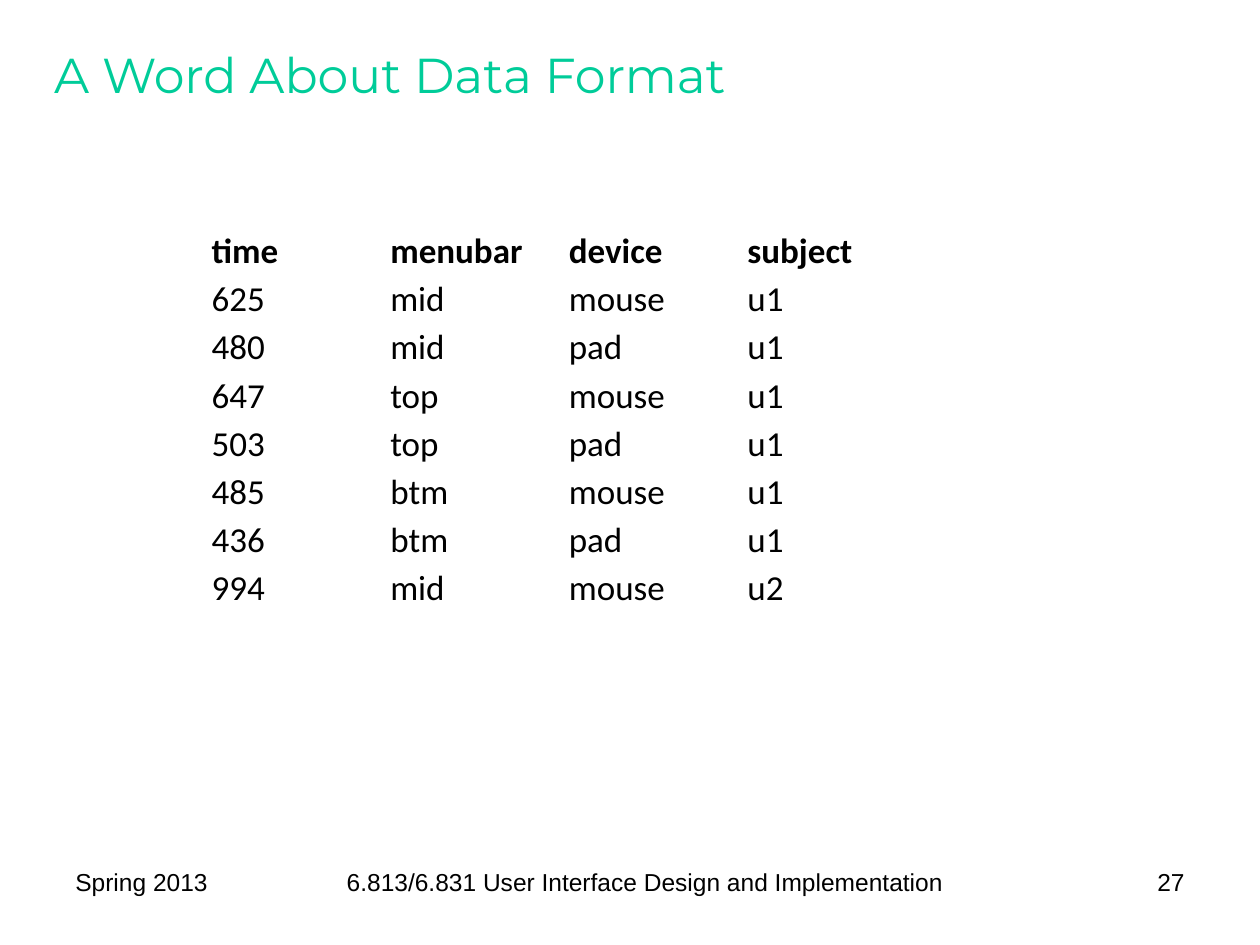
from dataclasses import dataclass

from pptx import Presentation
from pptx.dml.color import RGBColor
from pptx.enum.text import MSO_ANCHOR, PP_ALIGN
from pptx.util import Inches, Pt

LEFT, CENTER, RIGHT = PP_ALIGN.LEFT, PP_ALIGN.CENTER, PP_ALIGN.RIGHT
MIDDLE, BOTTOM = MSO_ANCHOR.MIDDLE, MSO_ANCHOR.BOTTOM
TITLE_ONLY = 5


@dataclass(frozen=True)
class Theme:
    accent: RGBColor = RGBColor(0x00, 0xCC, 0x99)
    ink: RGBColor = RGBColor(0x00, 0x00, 0x00)
    title_font: str = "Montserrat"
    table_font: str = "Calibri"
    footer_font: str = "Arial"
    title_size: int = 28
    table_size: int = 20
    footer_size: int = 14


THEME = Theme()

ROWS = [
    ("time", "menubar", "device", "subject"),
    ("625", "mid", "mouse", "u1"),
    ("480", "mid", "pad", "u1"),
    ("647", "top", "mouse", "u1"),
    ("503", "top", "pad", "u1"),
    ("485", "btm", "mouse", "u1"),
    ("436", "btm", "pad", "u1"),
    ("994", "mid", "mouse", "u2"),
]


def set_text(tf, text, *, font, size, color=THEME.ink, bold=False, align=LEFT):
    p = tf.paragraphs[0]
    p.alignment = align
    r = p.add_run()
    r.text = text
    r.font.name = font
    r.font.size = Pt(size)
    r.font.bold = bold
    r.font.color.rgb = color


def place_title(s, text, left, top, width, height):
    sp = s.shapes.title
    sp.left, sp.top, sp.width, sp.height = left, top, width, height
    sp.text_frame.vertical_anchor = MIDDLE
    set_text(sp.text_frame, text, font=THEME.title_font,
             size=THEME.title_size, color=THEME.accent)


def add_data_table(s, rows, left, top, width, height):
    """Plain table with a tall header row; the other rows share what is left."""
    table = s.shapes.add_table(len(rows), len(rows[0]), left, top, width, height).table
    table.horz_banding = False
    header_height = Inches(0.75)
    row_height = (height - header_height) // (len(rows) - 1)
    for i, values in enumerate(rows):
        table.rows[i].height = row_height if i else header_height
        for cell, value in zip(table.rows[i].cells, values):
            cell.fill.background()
            cell.vertical_anchor = BOTTOM
            cell.margin_left = cell.margin_right = cell.margin_top = Inches(0.01)
            cell.margin_bottom = 0
            set_text(cell.text_frame, value, font=THEME.table_font,
                     size=THEME.table_size, bold=i == 0)


def add_footer(s, date, course, number, left, top, width, height):
    parts = [
        (date, 0, Inches(1.5), LEFT),
        (course, Inches(1.58), Inches(6.08), CENTER),
        (number, width - Inches(1.25), Inches(1.25), RIGHT),
    ]
    for text, offset, part_width, align in parts:
        tf = s.shapes.add_textbox(left + offset, top, part_width, height).text_frame
        tf.word_wrap = True
        set_text(tf, text, font=THEME.footer_font, size=THEME.footer_size, align=align)


def main():
    prs = Presentation()
    prs.slide_width, prs.slide_height = Inches(10), Inches(7.5)
    s = prs.slides.add_slide(prs.slide_layouts[TITLE_ONLY])
    place_title(s, "A Word About Data Format",
                Inches(0.33), Inches(0.17), Inches(9.25), Inches(0.83))
    add_data_table(s, ROWS, Inches(1.67), Inches(1.42), Inches(5.67), Inches(3.42))
    add_footer(s, "Spring 2013", "6.813/6.831 User Interface Design and Implementation",
               "27", Inches(0.5), Inches(6.83), Inches(9), Inches(0.52))
    prs.save("out.pptx")


if __name__ == "__main__":
    main()
